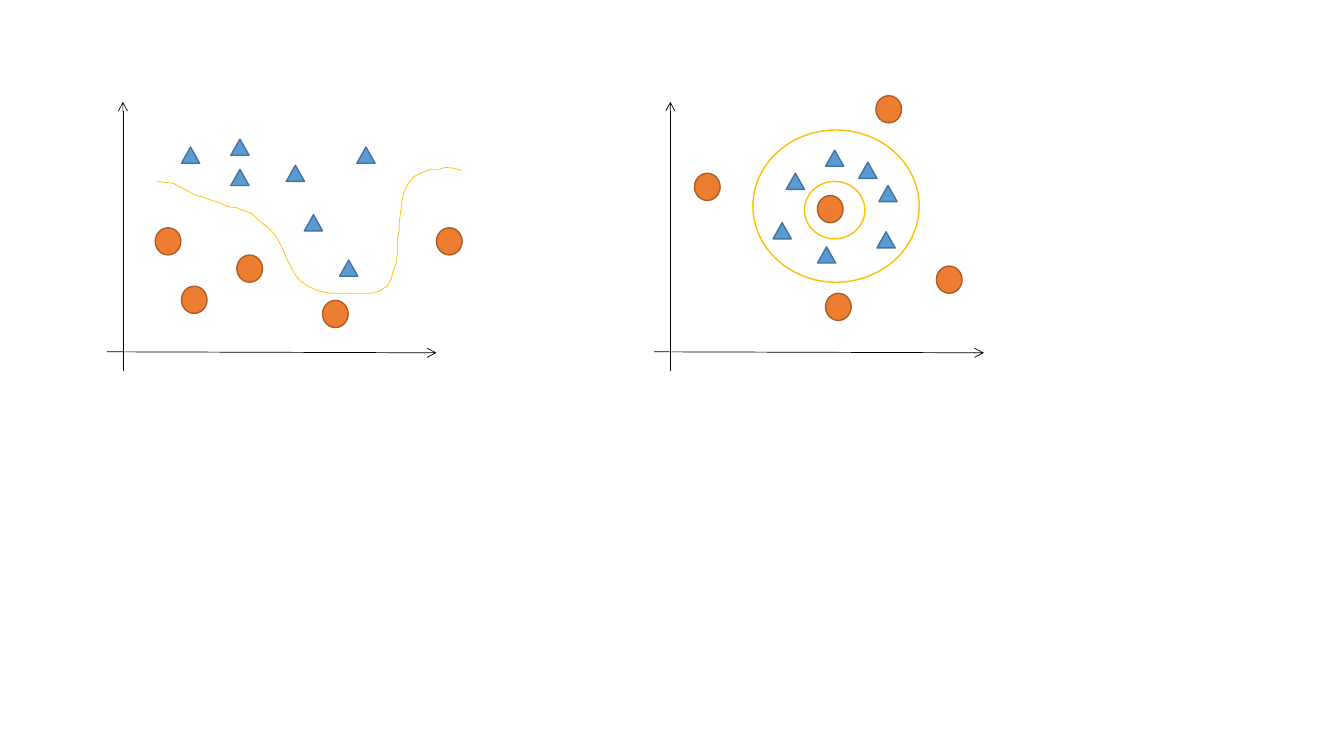
from dataclasses import dataclass

from lxml.etree import SubElement
from pptx import Presentation
from pptx.dml.color import RGBColor as Rgb
from pptx.enum.shapes import MSO_CONNECTOR as Link, MSO_SHAPE as Kind
from pptx.oxml.ns import qn
from pptx.shapes.autoshape import Shape
from pptx.shapes.shapetree import SlideShapes as Shapes
from pptx.util import Pt

Point = tuple[float, float]


@dataclass(frozen=True)
class Theme:
    white: str = "FFFFFF"
    black: str = "000000"
    gold: str = "FFC000"
    blue: str = "5B9BD5"
    navy: str = "43739E"
    orange: str = "ED7D31"
    brown: str = "AF5C24"
    thin: float = 0.5
    thick: float = 1


@dataclass(frozen=True)
class Style:
    kind: Kind
    width: float
    height: float
    fill: str
    line: str


@dataclass(frozen=True)
class Plot:
    shift: float
    rings: list[tuple[float, float, float, float]]
    border: list[Point]
    blues: list[Point]
    dots: list[Point]


THEME = Theme()
BLUE = Style(Kind.ISOSCELES_TRIANGLE, 13, 11.5, THEME.blue, THEME.navy)
DOT = Style(Kind.OVAL, 18.3, 19.4, THEME.orange, THEME.brown)

# Axes of the left plot, each as start and tip
AXES: list[tuple[Point, Point]] = [
    ((76.3, 251.3), (311.8, 252)),
    ((87.8, 265), (87.8, 72.7)),
]

# Curve that parts the two classes
CURVE: list[Point] = [
    (112.3, 129.6), (118.1, 130.3), (123.8, 131), (129.6, 133.9),
    (134.6, 136.8), (140.4, 139.7), (146.2, 141.1), (151.9, 143.3),
    (157, 144.7), (162.7, 147.6), (168.5, 148.3), (174.2, 150.5),
    (180, 152.6), (185, 157.7), (190.8, 162), (195.8, 167),
    (199.4, 172.8), (202.3, 178.6), (204.5, 184.3), (207.4, 189.4),
    (210.2, 195.1), (214.6, 200.9), (220.3, 204.5), (226.1, 207.4),
    (231.8, 208.8), (236.9, 209.5), (265, 209.5), (270.7, 208.1),
    (276.5, 204.5), (279.4, 199.4), (280.8, 193.7), (283, 187.9),
    (283.7, 182.2), (283.7, 171.4), (285.1, 164.9), (285.1, 159.1),
    (285.8, 154.1), (286.6, 148.3), (287.3, 142.6), (288.7, 136.8),
    (291.6, 131), (295.9, 126), (301.7, 123.1), (307.4, 121),
    (313.2, 121), (318.2, 119.5), (324, 120.2), (329.8, 121.7),
]

PLOTS = [
    Plot(
        shift=0,
        rings=[],
        border=CURVE,
        blues=[(129.6, 105.1), (204.5, 118.1), (164.9, 99.4), (217.4, 153.4),
               (164.9, 121), (242.6, 185.8), (254.9, 105.1)],
        dots=[(110.9, 162.7), (129.6, 204.5), (169.2, 182.2),
              (230.4, 214.6), (311.8, 162.7)],
    ),
    Plot(
        shift=391,
        rings=[(537.8, 92.9, 118.8, 108.7), (574.6, 129.6, 43.2, 41)],
        border=[],
        blues=[(583.9, 176.4), (627.8, 132.5), (613.4, 115.9), (589.7, 107.3),
               (552.2, 159.1), (626.4, 165.6), (561.6, 123.8)],
        dots=[(496.1, 123.8), (668.9, 190.1), (589.7, 209.5),
              (625.7, 68.4), (583.9, 139.7)],
    ),
]


def add_mark(shapes: Shapes, style: Style, left: float, top: float) -> Shape:
    mark = shapes.add_shape(
        style.kind, Pt(left), Pt(top), Pt(style.width), Pt(style.height))
    mark.shadow.inherit = False
    mark.fill.solid()
    mark.fill.fore_color.rgb = Rgb.from_string(style.fill)
    mark.line.color.rgb = Rgb.from_string(style.line)
    mark.line.width = Pt(THEME.thick)
    return mark


def add_axis(shapes: Shapes, start: Point, tip: Point, shift: float) -> None:
    axis = shapes.add_connector(
        Link.STRAIGHT, Pt(start[0] + shift), Pt(start[1]),
        Pt(tip[0] + shift), Pt(tip[1]))
    axis.line.color.rgb = Rgb.from_string(THEME.black)
    axis.line.width = Pt(THEME.thin)
    SubElement(axis.line._get_or_add_ln(), qn("a:tailEnd"), type="arrow")
    SubElement(axis._element.spPr, qn("a:effectLst"))


def add_curve(shapes: Shapes, points: list[Point]) -> None:
    start, *rest = [(Pt(x), Pt(y)) for x, y in points]
    form = shapes.build_freeform(*start)
    form.add_line_segments(rest, close=False)
    curve = form.convert_to_shape()
    curve.shadow.inherit = False
    curve.fill.background()
    curve.line.color.rgb = Rgb.from_string(THEME.gold)
    curve.line.width = Pt(THEME.thin)


def add_plot(shapes: Shapes, plot: Plot) -> None:
    # Rings lie below the marks
    for left, top, width, height in plot.rings:
        ring = Style(Kind.OVAL, width, height, THEME.white, THEME.gold)
        add_mark(shapes, ring, left, top)
    for start, tip in AXES:
        add_axis(shapes, start, tip, plot.shift)
    if plot.border:
        add_curve(shapes, plot.border)
    # Both classes of marks
    for style, spots in ((BLUE, plot.blues), (DOT, plot.dots)):
        for left, top in spots:
            add_mark(shapes, style, left, top)


def main() -> None:
    deck = Presentation()
    deck.slide_width, deck.slide_height = Pt(960), Pt(540)
    slide = deck.slides.add_slide(deck.slide_layouts[6])
    for plot in PLOTS:
        add_plot(slide.shapes, plot)
    deck.save("out.pptx")


if __name__ == "__main__":
    main()
